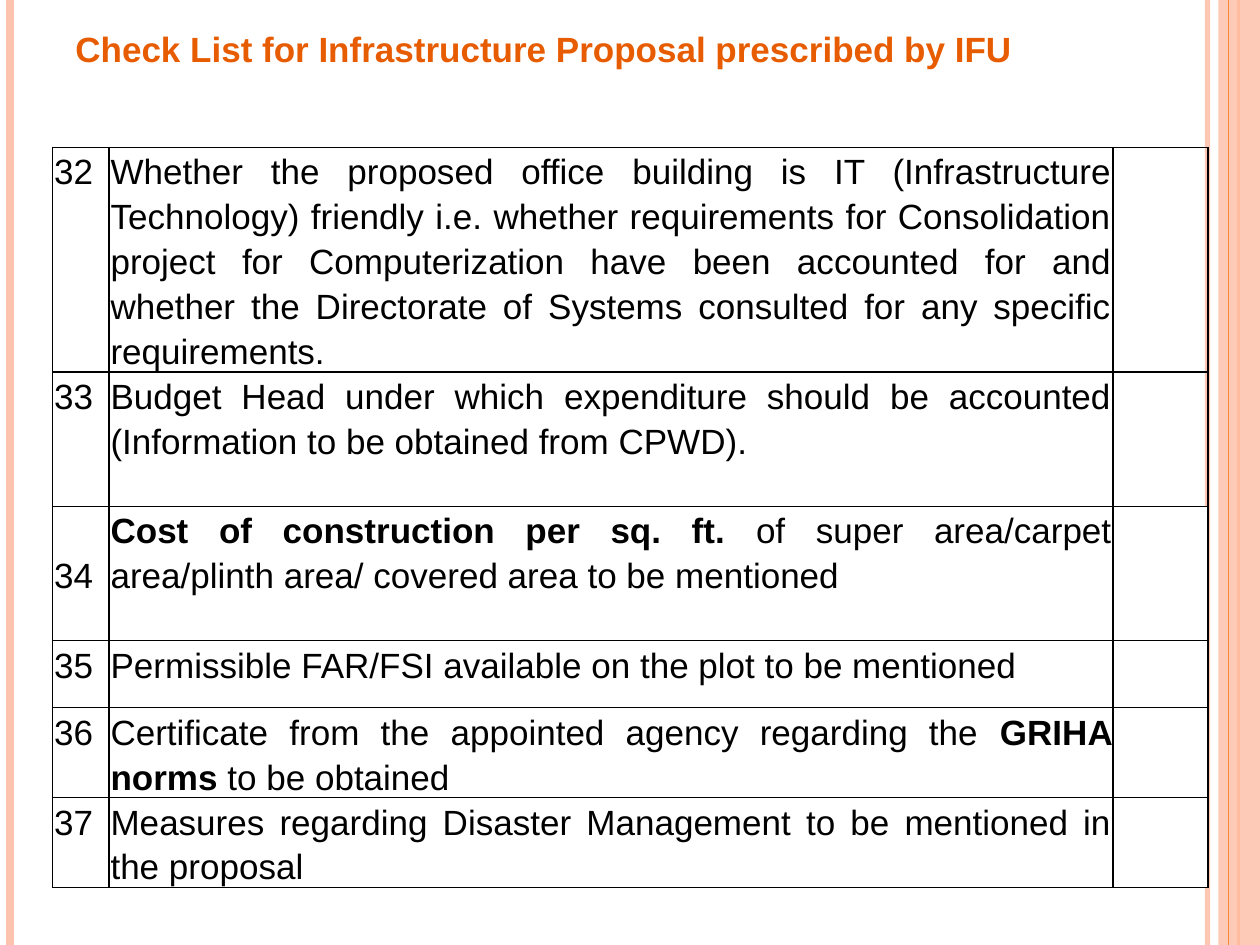
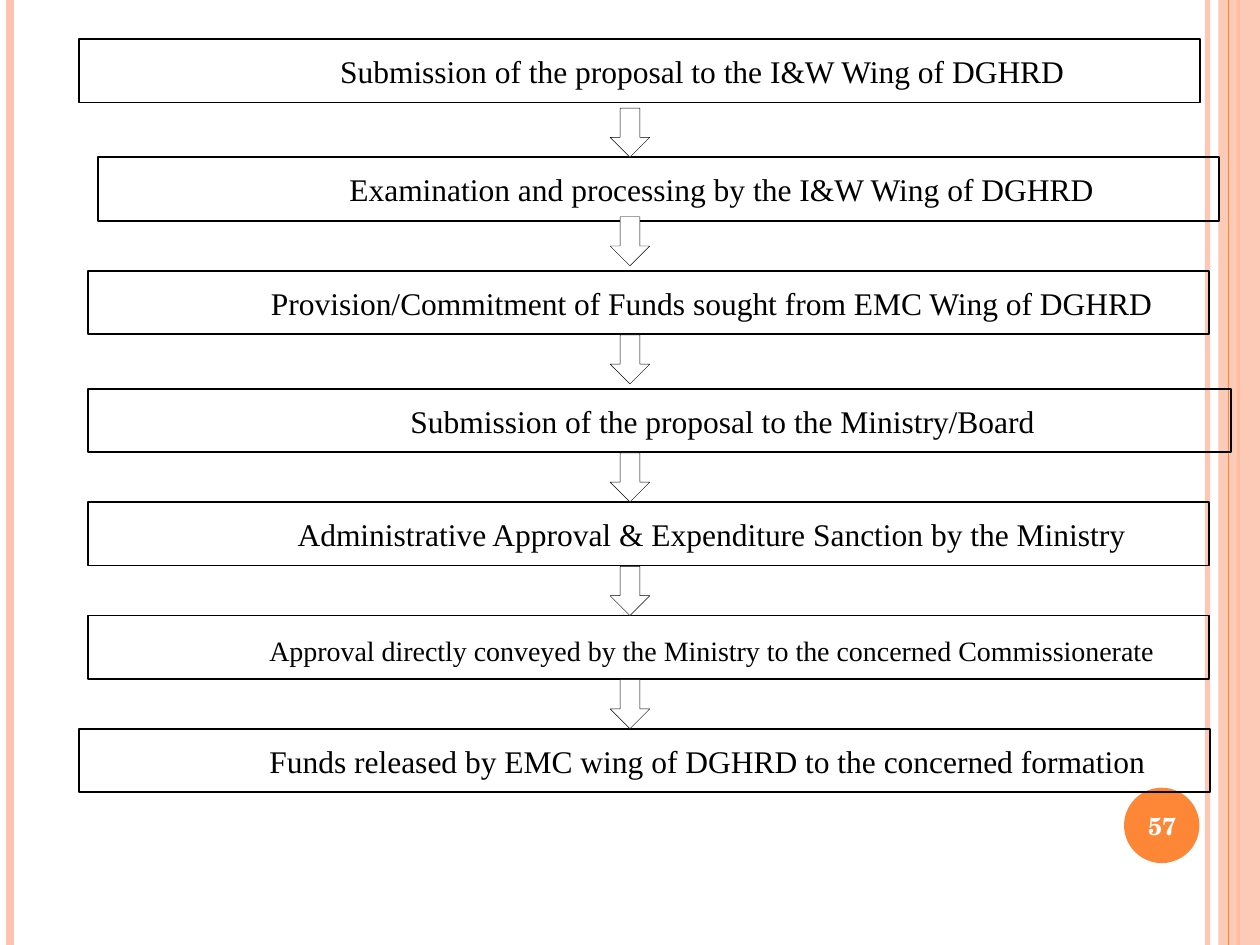
import lxml.etree
import pptx
import pptx.dml.color
import pptx.enum.shapes
import pptx.enum.text
import pptx.oxml
import pptx.oxml.ns
import pptx.util

Cm, Pt = pptx.util.Cm, pptx.util.Pt
Shapes = pptx.enum.shapes.MSO_SHAPE
Align = pptx.enum.text.PP_ALIGN
Anchor = pptx.enum.text.MSO_ANCHOR
qn = pptx.oxml.ns.qn

BLACK, WHITE = "000000", "FFFFFF"
ORANGE, PEACH, TITLE_ORANGE = "FE8637", "FEC3AE", "E75C01"
SLIDE_WIDTH, SLIDE_HEIGHT = 25.4, 19.05


def paint(fill, color, opacity=100):
    """Make a shape, line or font fill solid, with opacity in percent."""
    fill.solid()
    fill.fore_color.rgb = pptx.dml.color.RGBColor.from_string(color)
    if opacity < 100:
        color_element = fill._xPr.find(".//" + qn("a:srgbClr"))
        alpha = lxml.etree.SubElement(color_element, qn("a:alpha"))
        alpha.set("val", str(opacity * 1000))


def add_run(paragraph, text, font_name, size, color=BLACK, bold=False):
    run = paragraph.add_run()
    run.text = text
    run.font.name = font_name
    run.font.size = Pt(size)
    run.font.bold = bold
    paint(run.font.fill, color)


presentation = pptx.Presentation()
presentation.slide_width = Cm(SLIDE_WIDTH)
presentation.slide_height = Cm(SLIDE_HEIGHT)
blank_layout = presentation.slide_layouts[6]
checklist_slide = presentation.slides.add_slide(blank_layout)
flow_slide = presentation.slides.add_slide(blank_layout)

# Side bands on both slides: x, colour, width, opacity; None is the wide band
side_bands = [
    (24.34, PEACH, 3, 93),
    (0.21, PEACH, 4.5, 100),
    (24.97, ORANGE, 1.5, 100),
    (24.56, PEACH, None, 87),
    (24.77, ORANGE, 0.75, 100),
]
for slide in (checklist_slide, flow_slide):
    for x, color, width, opacity in side_bands:
        if width is None:
            band = slide.shapes.add_shape(
                Shapes.RECTANGLE, Cm(x), 0, Cm(SLIDE_WIDTH - x), Cm(SLIDE_HEIGHT))
            band.shadow.inherit = False
            paint(band.fill, color, opacity)
            band.line.fill.background()
        else:
            line = slide.shapes.add_connector(
                pptx.enum.shapes.MSO_CONNECTOR.STRAIGHT, Cm(x), 0, Cm(x), Cm(SLIDE_HEIGHT))
            line.line.width = Pt(width)
            paint(line.line.fill, color, opacity)
            lxml.etree.SubElement(line._element.spPr, qn("a:effectLst"))

# Checklist: number, row height, cell fill, runs of (text, bold)
checklist = [
    ("32", 4.52, None, [(
        "Whether the proposed office building is IT (Infrastructure Technology) friendly "
        "i.e. whether requirements for Consolidation project for Computerization have been "
        "accounted for and whether the Directorate of Systems consulted for any specific "
        "requirements.", False)]),
    ("33", 2.71, None, [(
        "Budget Head under which expenditure should be accounted "
        "(Information to be obtained from CPWD).", False)]),
    ("34", 2.71, WHITE, [
        ("Cost of construction per sq. ft.", True),
        (" of super area/carpet area/plinth area/ covered area to be mentioned", False)]),
    ("35", 1.35, WHITE, [
        ("Permissible FAR/FSI available on the plot to be mentioned", False)]),
    ("36", 1.81, WHITE, [
        ("Certificate from the appointed agency regarding the ", False),
        ("GRIHA norms", True),
        (" to be obtained", False)]),
    ("37", 1.81, WHITE, [
        ("Measures regarding Disaster Management to be mentioned in the proposal", False)]),
]
column_widths = [1.14, 20.24, 1.91]
table = checklist_slide.shapes.add_table(
    len(checklist), len(column_widths), Cm(1.06), Cm(2.97),
    Cm(sum(column_widths)), Cm(sum(row[1] for row in checklist))).table
table.first_row = False
table.horz_banding = False
for column, width in zip(table.columns, column_widths):
    column.width = Cm(width)

for row_index, (number, height, fill_color, item_runs) in enumerate(checklist):
    table.rows[row_index].height = Cm(height)
    for column_index, runs in enumerate([[(number, False)], item_runs, []]):
        cell = table.cell(row_index, column_index)
        cell.margin_left = cell.margin_right = Cm(0.03)
        cell.margin_top = cell.margin_bottom = 0
        if number == "34" and column_index == 0:
            cell.vertical_anchor = Anchor.MIDDLE
        paragraph = cell.text_frame.paragraphs[0]
        paragraph.alignment = Align.JUSTIFY
        paragraph.line_spacing = 1.15
        for text, bold in runs:
            add_run(paragraph, text, "Arial", 20, bold=bold)
        if fill_color:
            paint(cell.fill, fill_color)
        else:
            cell.fill.background()
        for position, side in enumerate(("lnL", "lnR", "lnT", "lnB")):
            border = pptx.oxml.parse_xml(
                f'<a:{side} xmlns:a="http://schemas.openxmlformats.org/drawingml/2006/main" '
                f'w="{Pt(1)}"><a:solidFill><a:srgbClr val="{BLACK}"/></a:solidFill></a:{side}>')
            cell._tc.get_or_add_tcPr().insert(position, border)

title = checklist_slide.shapes.add_textbox(Cm(1.27), Cm(0.43), Cm(22.86), Cm(1.27))
title.text_frame.word_wrap = True
add_run(title.text_frame.paragraphs[0],
        "Check List for Infrastructure Proposal prescribed by IFU",
        "Arial", 20, TITLE_ORANGE, True)

# Page number badge
badge = flow_slide.shapes.add_shape(
    Shapes.OVAL, Cm(22.66), Cm(15.88), Cm(1.52), Cm(1.52))
badge.shadow.inherit = False
paint(badge.fill, ORANGE)
badge.line.fill.background()
page_number = flow_slide.shapes.add_textbox(Cm(22.58), Cm(15.93), Cm(1.7), Cm(1.45))
page_number.text_frame.word_wrap = True
page_number.text_frame.vertical_anchor = Anchor.MIDDLE
paragraph = page_number.text_frame.paragraphs[0]
paragraph.alignment = Align.CENTER
add_run(paragraph, "57", "TeX Gyre Schola", 14, WHITE, True)

# Approval steps: left, top, width, text size, text
steps = [
    (1.59, 0.79, 22.6, 18, "Submission of the proposal to the I&W Wing of DGHRD"),
    (1.98, 3.17, 22.6, 18, "Examination and processing by the I&W Wing of DGHRD"),
    (1.78, 5.46, 22.6, 18, "Provision/Commitment of Funds sought from EMC Wing of DGHRD"),
    (1.78, 7.84, 23.04, 18, "Submission of the proposal to the Ministry/Board"),
    (1.78, 10.12, 22.6, 18, "Administrative Approval & Expenditure Sanction by the Ministry"),
    (1.78, 12.41, 22.6, 16,
     "Approval directly conveyed by the Ministry to the concerned Commissionerate"),
    (1.59, 14.69, 22.81, 18, "Funds released by EMC wing of DGHRD to the concerned formation"),
]
for left, top, width, size, text in steps:
    box = flow_slide.shapes.add_shape(
        Shapes.RECTANGLE, Cm(left), Cm(top), Cm(width), Cm(1.28))
    box.shadow.inherit = False
    box.fill.background()
    paint(box.line.fill, BLACK)
    box.line.width = Pt(1)
    frame = box.text_frame
    frame.word_wrap = True
    frame.vertical_anchor = Anchor.BOTTOM
    frame.margin_left = Cm(2.79)
    frame.margin_bottom = Cm(0.25)
    paragraph = frame.paragraphs[0]
    paragraph.alignment = Align.CENTER
    add_run(paragraph, text, "Times New Roman", size)

for top in (2.18, 4.37, 6.75, 9.13, 11.42, 13.7):
    arrow = flow_slide.shapes.add_shape(
        Shapes.DOWN_ARROW, Cm(12.3), Cm(top), Cm(0.8), Cm(0.99))
    arrow.shadow.inherit = False
    paint(arrow.fill, WHITE)
    paint(arrow.line.fill, BLACK)
    arrow.line.width = Pt(0.25)

presentation.save("out.pptx")
